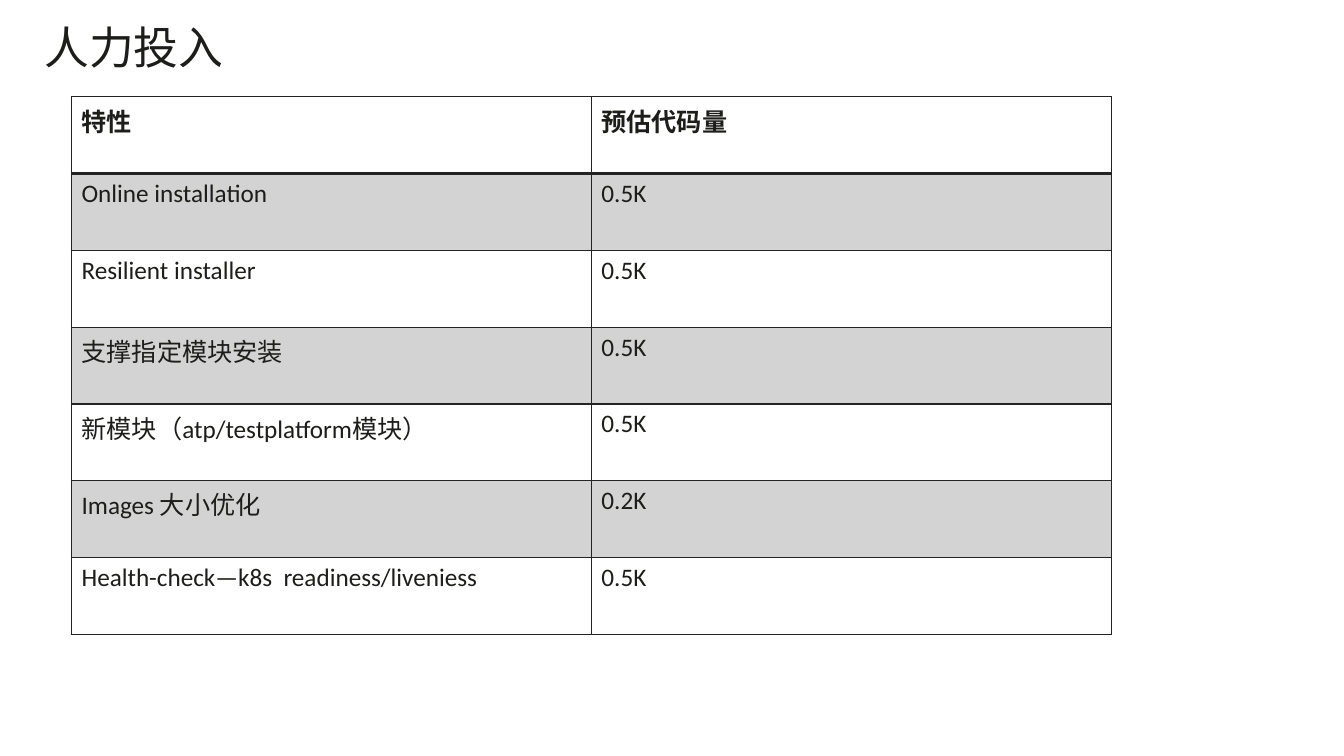
from lxml.etree import SubElement
from pptx import Presentation
from pptx.dml.color import RGBColor
from pptx.enum.text import MSO_ANCHOR, PP_ALIGN
from pptx.oxml import parse_xml
from pptx.oxml.ns import nsdecls, qn
from pptx.util import Inches, Pt

INK = RGBColor(0x1D, 0x1D, 0x1A)
RULE = RGBColor(0x23, 0x23, 0x23)
BAND = RGBColor(0xD3, 0xD3, 0xD3)
WHITE = RGBColor(0xFF, 0xFF, 0xFF)
LATIN = "Calibri"
HAN = "Noto Sans CJK SC"

ROWS = [
    ("特性", "预估代码量"),
    ("Online installation", "0.5K"),
    ("Resilient installer", "0.5K"),
    ("支撑指定模块安装", "0.5K"),
    ("新模块（atp/testplatform模块）", "0.5K"),
    ("Images 大小优化", "0.2K"),
    ("Health-check—k8s  readiness/liveniess", "0.5K"),
]


def write(frame, text, size=18, font=LATIN, bold=False, color=INK, pitch=None):
    """Fill a text frame with one paragraph; pitch is its line height in points."""
    para = frame.paragraphs[0]
    para.alignment = PP_ALIGN.LEFT
    if pitch:
        para.line_spacing = Pt(pitch)
    run = para.add_run()
    run.text = text
    run.font.size = Pt(size)
    run.font.bold = bold
    run.font.color.rgb = color
    run.font.name = font
    SubElement(run.font._element, qn("a:ea"), typeface=HAN)


class Deck:
    """Places elements on a grid of 100 columns by 100 rows."""

    def __init__(self, width, height):
        self.prs = Presentation()
        self.prs.slide_width = Inches(width)
        self.prs.slide_height = Inches(height)
        self.slide = self.prs.slides.add_slide(self.prs.slide_layouts[5])

    def box(self, left, top, width, height):
        col, row = self.prs.slide_width / 100, self.prs.slide_height / 100
        return int(left * col), int(top * row), int(width * col), int(height * row)

    def title(self, text, *area):
        shape = self.slide.shapes.title
        shape.left, shape.top, shape.width, shape.height = self.box(*area)
        frame = shape.text_frame
        frame.word_wrap = True
        frame.vertical_anchor = MSO_ANCHOR.TOP
        frame.margin_left = frame.margin_right = 0
        frame.margin_top = frame.margin_bottom = 0
        write(frame, text, size=32, font=HAN, pitch=34.3)

    def table(self, rows, *area):
        """Draw a ruled table with a bold head and every second row shaded."""
        shape = self.slide.shapes.add_table(len(rows), len(rows[0]), *self.box(*area))
        grid = shape.table
        grid.horz_banding = False
        for r, texts in enumerate(rows):
            for c, text in enumerate(texts):
                cell = grid.cell(r, c)
                cell.fill.solid()
                cell.fill.fore_color.rgb = BAND if r % 2 else WHITE
                write(cell.text_frame, text, bold=r == 0)
                self.edge(cell, T=2 if r == 1 else 1, B=2 if r == 0 else 1)

    def edge(self, cell, **widths):
        """Rule all four sides, one point wide unless a side is given."""
        props = cell._tc.get_or_add_tcPr()
        for spot, side in enumerate("LRTB"):
            width = Pt(widths.get(side, 1))
            props.insert(spot, parse_xml(
                f'<a:ln{side} {nsdecls("a")} w="{width}"><a:solidFill>'
                f'<a:srgbClr val="{RULE}"/></a:solidFill></a:ln{side}>'))

    def save(self):
        self.prs.save("out.pptx")


def main():
    deck = Deck(13.34, 7.5)
    deck.title("人力投入", 3.3, 3.33, 88.08, 14.53)
    deck.table(ROWS, 5.32, 12.8, 77.36, 71.12)
    deck.save()


if __name__ == "__main__":
    main()
